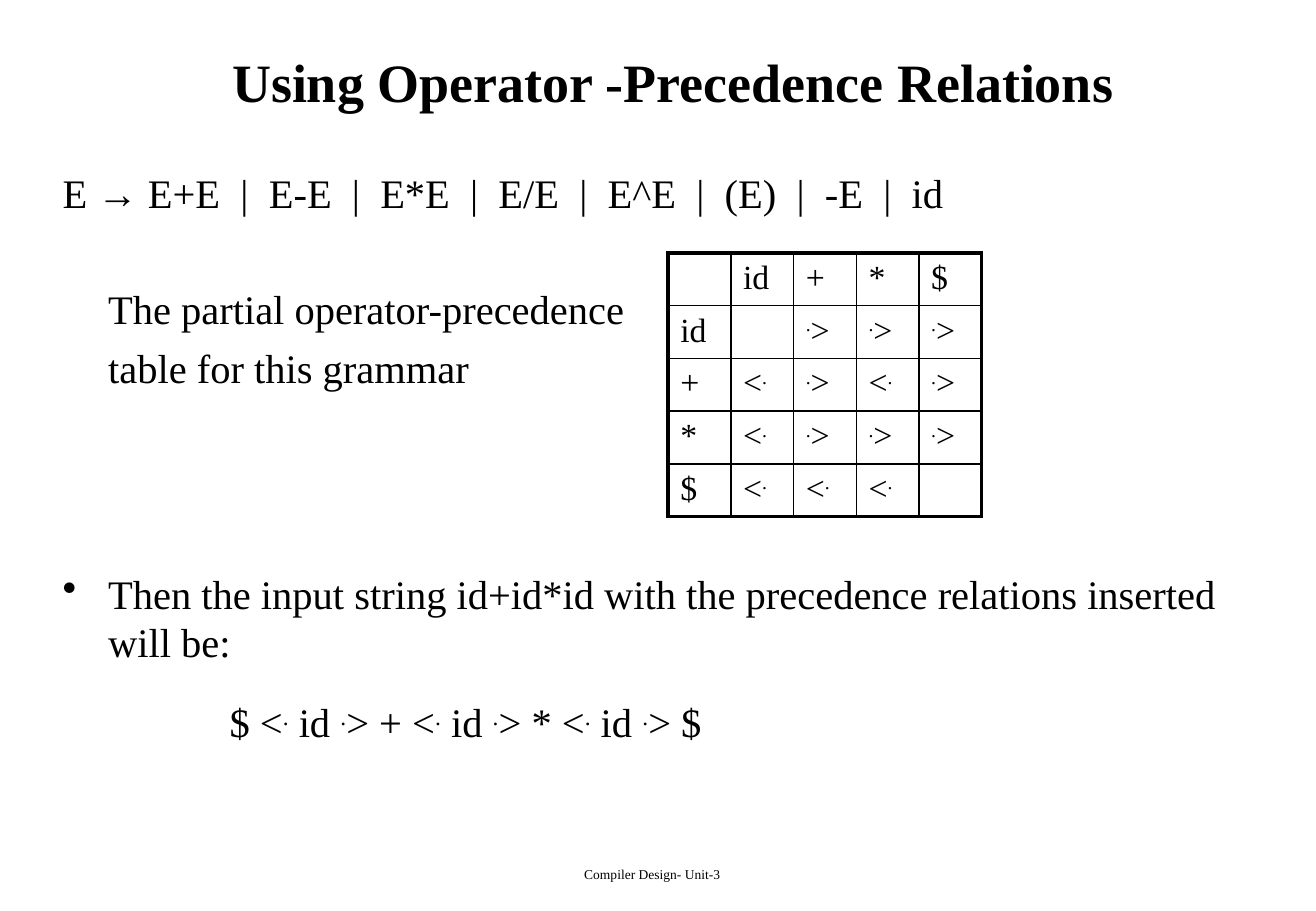
import pptx
import pptx.dml.color
import pptx.enum.text
import pptx.oxml
import pptx.oxml.ns
import pptx.util

PX = 7620
SLIDE = (1300, 900)
FONT, BLACK = "Times New Roman", "000000"
THIN, THICK = 1, 2.25
BODY_PT, CELL_PT, LINE_GAP_PT = 24, 20, 6
HANGING = 45

TITLE = ("Using Operator -Precedence Relations", (50, 20, 1230, 120))
FOOTER = ("Compiler Design- Unit-3", (401, 850, 487, 30))
GRAMMAR = (["E → E+E  |  E-E  |  E*E  |  E/E  |  E^E  |  (E)  |  -E  |  id"], (50, 160, 1230, 60))
CAPTION = (["The partial operator-precedence", "table for this grammar"], (95, 275, 560, 120))
INPUT = (["Then the input string id+id*id with the precedence relations inserted will be:"],
         (50, 556, 1230, 110))
RELATIONS = (["$ <. id .> + <. id .> * <. id .> $"], (215, 683, 800, 60))

TABLE_AT, COL_W, ROW_H = (660, 250), 62, 52
PRECEDENCE = [
    ["", "id", "+", "*", "$"],
    ["id", "", ".>", ".>", ".>"],
    ["+", "<.", ".>", "<.", ".>"],
    ["*", "<.", ".>", ".>", ".>"],
    ["$", "<.", "<.", "<.", ""],
]


def px(*lengths):
    return [pptx.util.Emu(n * PX) for n in lengths]


def rgb(value):
    return pptx.dml.color.RGBColor.from_string(value)


def write(p, text, size, bold=False):
    """Write text in a paragraph, raising each precedence dot."""
    for i, part in enumerate(text.split(".")):
        for piece, raised in ((".", True),) * (i > 0) + ((part, False),):
            if piece:
                r = p.add_run()
                r.text = piece
                r.font.name, r.font.size, r.font.bold = FONT, pptx.util.Pt(size), bold
                r.font.color.rgb = rgb(BLACK)
                if raised:
                    r._r.get_or_add_rPr().set("baseline", "30000")


def add_text(s, lines, box, size=BODY_PT):
    tf = s.shapes.add_textbox(*px(*box)).text_frame
    tf.word_wrap = True
    for i, line in enumerate(lines):
        p = tf.add_paragraph() if i else tf.paragraphs[0]
        if i:
            p.space_before = pptx.util.Pt(LINE_GAP_PT)
        write(p, line, size)
    return tf


def add_bullet(p):
    pPr = p._p.get_or_add_pPr()
    pPr.set("marL", str(HANGING * PX))
    pPr.set("indent", str(-HANGING * PX))
    pPr.append(pptx.oxml.parse_xml(
        f'<a:buChar {pptx.oxml.ns.nsdecls("a")} char="•"/>'))


def add_border(cell, side, width):
    cell._tc.get_or_add_tcPr().append(pptx.oxml.parse_xml(
        f'<a:ln{side} {pptx.oxml.ns.nsdecls("a")} w="{pptx.util.Pt(width)}">'
        f'<a:solidFill><a:srgbClr val="{BLACK}"/></a:solidFill></a:ln{side}>'))


def add_precedence_table(s):
    n = len(PRECEDENCE)
    table = s.shapes.add_table(n, n, *px(*TABLE_AT, n * COL_W, n * ROW_H)).table
    table.first_row = table.horz_banding = False
    for column, row in zip(table.columns, table.rows):
        column.width, row.height = px(COL_W, ROW_H)
    for i, row in enumerate(PRECEDENCE):
        for j, text in enumerate(row):
            cell = table.cell(i, j)
            write(cell.text_frame.paragraphs[0], text, CELL_PT)
            outer = {"L": j == 0, "R": j == n - 1, "T": i == 0, "B": i == n - 1}
            for side, is_outer in outer.items():
                add_border(cell, side, THICK if is_outer else THIN)
            cell.fill.background()


def main():
    prs = pptx.Presentation()
    prs.slide_width, prs.slide_height = px(*SLIDE)
    s = prs.slides.add_slide(prs.slide_layouts[5])

    text, box = TITLE
    title = s.shapes.title
    title.left, title.top, title.width, title.height = px(*box)
    title.text_frame.vertical_anchor = pptx.enum.text.MSO_ANCHOR.MIDDLE
    p = title.text_frame.paragraphs[0]
    p.alignment = pptx.enum.text.PP_ALIGN.CENTER
    write(p, text, 32, bold=True)

    for lines, box in (GRAMMAR, CAPTION, RELATIONS):
        add_text(s, lines, box)
    add_bullet(add_text(s, *INPUT).paragraphs[0])
    add_precedence_table(s)

    text, box = FOOTER
    tf = add_text(s, [text], box, 8)
    tf.paragraphs[0].alignment = pptx.enum.text.PP_ALIGN.CENTER
    prs.save("out.pptx")


if __name__ == "__main__":
    main()
